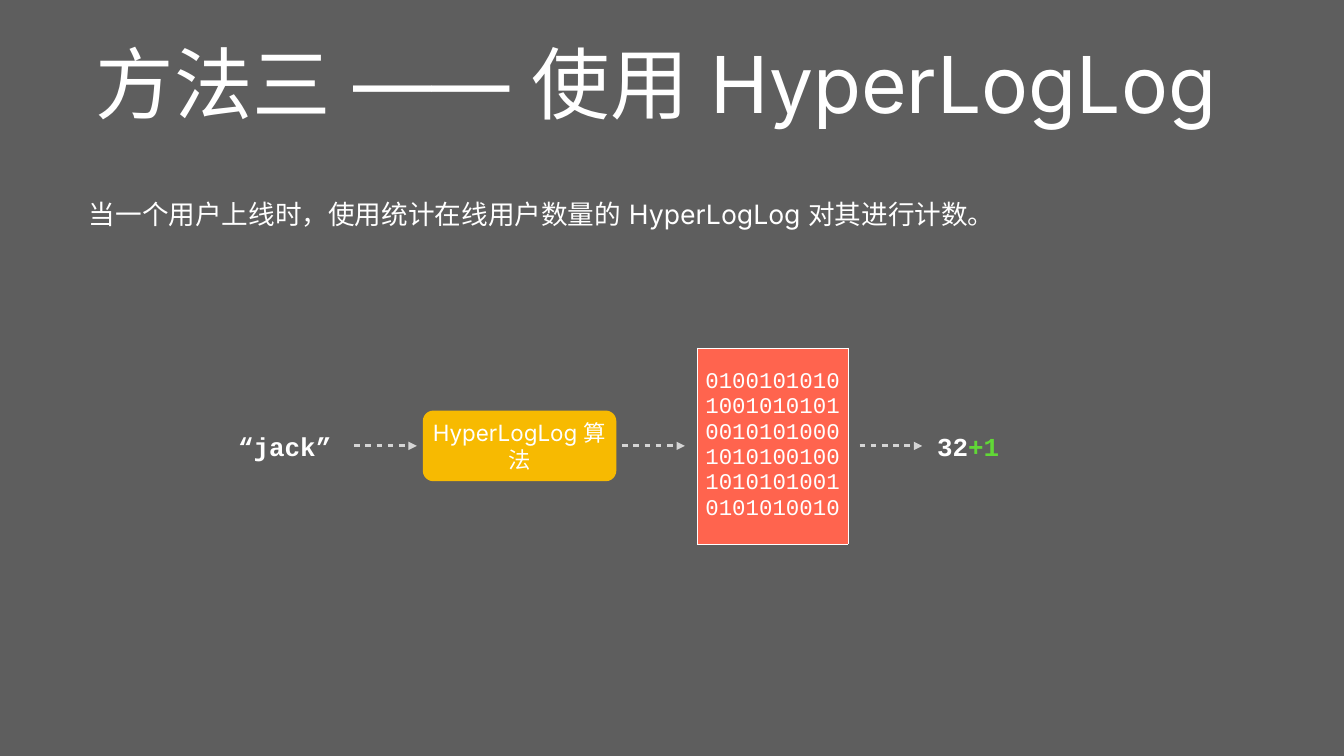
from lxml.etree import SubElement
from pptx import Presentation
from pptx.dml.color import RGBColor
from pptx.enum.shapes import MSO_CONNECTOR as CONN, MSO_SHAPE as SHAPE
from pptx.enum.text import MSO_ANCHOR as ANCHOR, PP_ALIGN as ALIGN
from pptx.oxml.ns import qn
from pptx.util import Pt

COLORS = {
    "background": "5E5E5E",
    "text": "FFFFFF",
    "arrow": "D5D5D5",
    "algorithm": "F7BA01",
    "bits": "FF644E",
    "increment": "61D836",
}
SANS, MONO = "Inter", "Courier New"
INSET = 4


def rgb(name):
    return RGBColor.from_string(COLORS[name])


def paint(fill, color):
    fill.solid()
    fill.fore_color.rgb = rgb(color)


class FlowSlide:
    def __init__(self, prs):
        self.slide = prs.slides.add_slide(prs.slide_layouts[6])
        self.shapes = self.slide.shapes
        paint(self.slide.background.fill, "background")

    def style_run(self, r, size, font, bold=False, color="text"):
        r.font.size, r.font.name, r.font.bold = Pt(size), font, bold
        r.font.color.rgb = rgb(color)
        SubElement(r.font._element, qn("a:ea")).set("typeface", font)

    def set_margins(self, target, inset):
        target.margin_left = target.margin_right = Pt(inset)
        target.margin_top = target.margin_bottom = Pt(inset)

    def text(self, box, parts, size, font=SANS, bold=False,
             align=ALIGN.LEFT, wrap=True, before=0):
        """Add a text box; parts is a list of (text, colour) runs."""
        tf = self.shapes.add_textbox(*map(Pt, box)).text_frame
        tf.word_wrap = wrap
        tf.vertical_anchor = ANCHOR.MIDDLE
        self.set_margins(tf, INSET)
        p = tf.paragraphs[0]
        p.alignment, p.space_before = align, Pt(before)
        for words, color in parts:
            r = p.add_run()
            r.text = words
            self.style_run(r, size, font, bold, color)

    def label(self, box, parts):
        self.text(box, parts, 37, MONO, True, ALIGN.CENTER, wrap=False)

    def rounded_box(self, box, words, size, color):
        sp = self.shapes.add_shape(SHAPE.ROUNDED_RECTANGLE, *map(Pt, box))
        sp.adjustments[0] = 0.15
        sp.shadow.inherit = False
        paint(sp.fill, color)
        sp.line.fill.background()
        tf = sp.text_frame
        tf.text = words
        tf.word_wrap = True
        tf.vertical_anchor = ANCHOR.MIDDLE
        self.set_margins(tf, 0)
        p = tf.paragraphs[0]
        p.alignment = ALIGN.CENTER
        self.style_run(p.runs[0], size, SANS)

    def one_cell_table(self, box, words, size, color):
        cell = self.shapes.add_table(1, 1, *map(Pt, box)).table.cell(0, 0)
        cell.text = words
        cell.vertical_anchor = ANCHOR.MIDDLE
        self.set_margins(cell, INSET)
        p = cell.text_frame.paragraphs[0]
        p.alignment = ALIGN.CENTER
        self.style_run(p.runs[0], size, MONO)
        tc_pr = cell._tc.get_or_add_tcPr()
        for side in ("lnL", "lnR", "lnT", "lnB"):
            ln = SubElement(tc_pr, qn(f"a:{side}"), w=str(Pt(1)))
            fill = SubElement(ln, qn("a:solidFill"))
            SubElement(fill, qn("a:srgbClr"), val=COLORS["text"])
        paint(cell.fill, color)

    def dashed_arrow(self, x, y, length):
        c = self.shapes.add_connector(CONN.STRAIGHT, Pt(x), Pt(y), Pt(x + length), Pt(y))
        c.line.width = Pt(4)
        c.line.color.rgb = rgb("arrow")
        ln = c.line._get_or_add_ln()
        dash = SubElement(ln, qn("a:custDash"))
        SubElement(dash, qn("a:ds"), d="200000", sp="200000")
        SubElement(ln, qn("a:tailEnd"), type="triangle")
        SubElement(c._element.spPr, qn("a:effectLst"))


def main():
    prs = Presentation()
    prs.slide_width, prs.slide_height = Pt(1920), Pt(1080)
    s = FlowSlide(prs)

    s.text((133, 28, 1654, 180), [("方法三 —— 使用 HyperLogLog", "text")], 112)
    s.text((123, 229, 1654, 154),
           [("当一个用户上线时，使用统计在线用户数量的 HyperLogLog 对其进行计数。", "text")],
           38, before=16)

    axis = 637
    bits = "010010101010010101010010101000101010010010101010010101010010"
    s.one_cell_table((996, axis - 140, 215.5, 280), bits, 32, "bits")
    s.label((335.5, axis - 26, 142.5, 52), [("“jack”", "text")])
    s.rounded_box((604, axis - 50.5, 276.5, 101), "HyperLogLog 算法", 32, "algorithm")
    s.label((1334, axis - 26, 98, 52), [("32", "text"), ("+1", "increment")])
    for x in (506, 889, 1228):
        s.dashed_arrow(x, axis, 89.5)

    prs.save("out.pptx")


if __name__ == "__main__":
    main()
